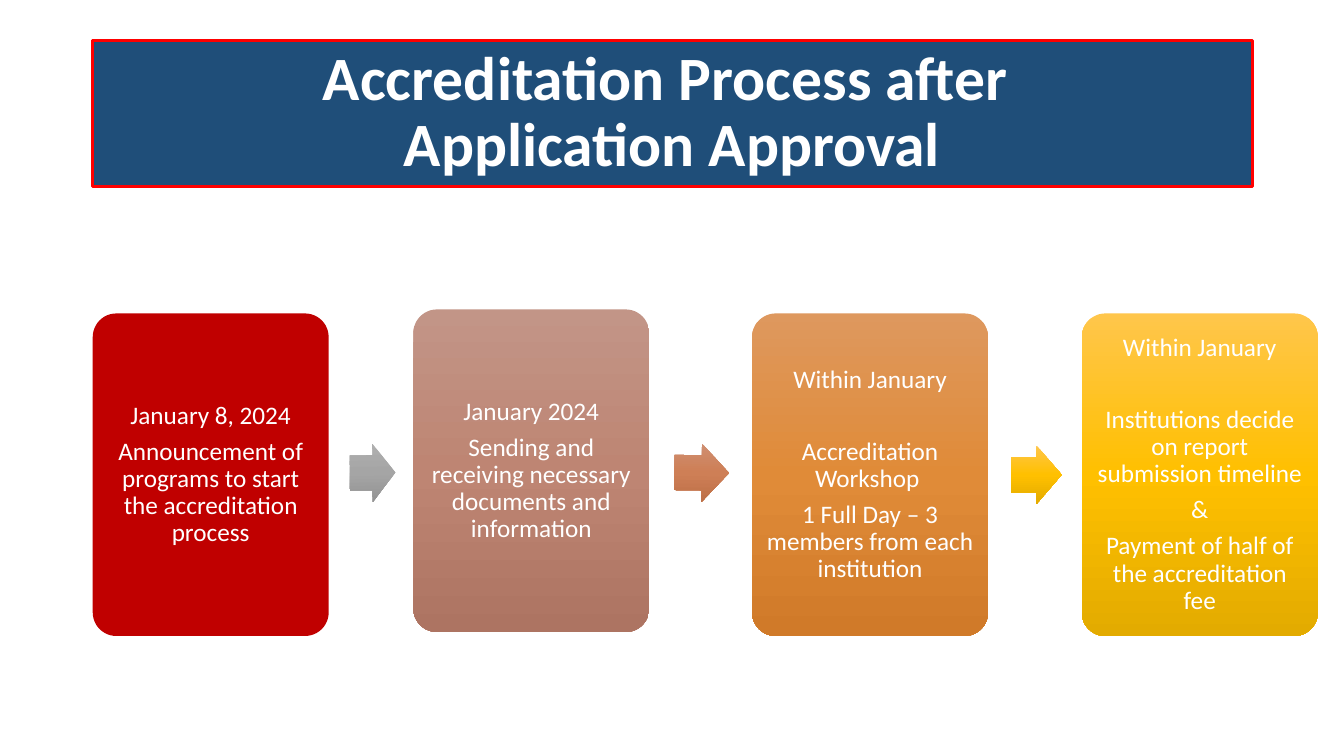
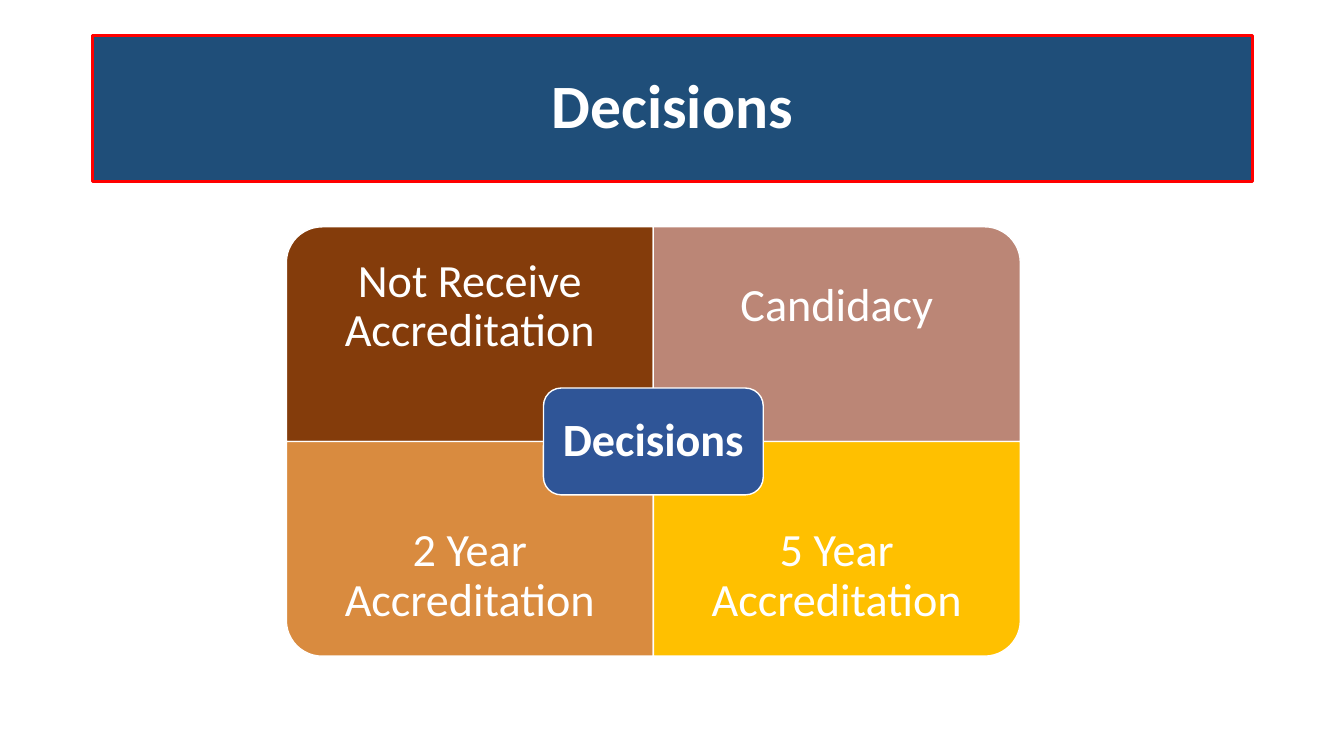
from copy import deepcopy
from dataclasses import dataclass

from pptx import Presentation
from pptx import util as u
from pptx.dml.color import RGBColor
from pptx.enum import shapes, text
from pptx.oxml.ns import qn

PX = 9144  # EMU: 100 px to the inch
FONT = "Calibri"
WHITE = RGBColor(0xFF, 0xFF, 0xFF)
NAVY = RGBColor(0x1F, 0x4E, 0x79)
BLUE = RGBColor(0x2F, 0x55, 0x97)
RED = RGBColor(0xFF, 0x00, 0x00)
CRIMSON = RGBColor(0xC0, 0x00, 0x00)
BROWN = RGBColor(0x84, 0x3C, 0x0B)
ROSE = RGBColor(0xBB, 0x86, 0x76)
ORANGE = RGBColor(0xD9, 0x8B, 0x3F)
GOLD = RGBColor(0xFF, 0xC0, 0x00)

# Gradients from top to bottom
GREY_FADE = (RGBColor(0xAF, 0xAF, 0xAF), RGBColor(0xA5, 0xA5, 0xA5), RGBColor(0x93, 0x93, 0x93))
COPPER_FADE = (RGBColor(0xCF, 0x8F, 0x72), RGBColor(0xCE, 0x7F, 0x56), RGBColor(0xBD, 0x6F, 0x47))
ROSE_FADE = (RGBColor(0xC2, 0x95, 0x87), RGBColor(0xBE, 0x85, 0x73), RGBColor(0xAD, 0x74, 0x62))
ORANGE_FADE = (RGBColor(0xDE, 0x98, 0x5E), RGBColor(0xE0, 0x8B, 0x38), RGBColor(0xD0, 0x7A, 0x29))
GOLD_FADE = (RGBColor(0xFF, 0xC6, 0x4B), RGBColor(0xFF, 0xC0, 0x00), RGBColor(0xE3, 0xAB, 0x00))

Fade = tuple[RGBColor, RGBColor, RGBColor]
TITLE_X, TITLE_W, TITLE_H = 92, 1150, 145
STEP_W, STEP_H = 234, 320
ARROW_H = 58
GRID_X, GRID_Y, CELL_W, CELL_H = 284, 225, 364, 213
LABEL_H = 159
HUB_W, HUB_H = 218, 106
STEP_GAP, WIDE_GAP = 6.3, 32


@dataclass(frozen=True)
class Step:
    x: int
    y: int
    date: str
    details: tuple[str, ...]
    fill: RGBColor | Fade
    date_gap: float = STEP_GAP


@dataclass(frozen=True)
class Arrow:
    x: int
    y: int
    w: int
    fill: Fade
    rotation: float = 0


@dataclass(frozen=True)
class Quadrant:
    col: int
    row: int
    rotation: int
    label: str
    fill: RGBColor


STEPS = (
    Step(92, 311, "January 8, 2024",
         ("Announcement of programs to start the accreditation process",), CRIMSON),
    Step(410, 307, "January 2024",
         ("Sending and receiving necessary documents and information",), ROSE_FADE),
    Step(746, 311, "Within January",
         ("Accreditation Workshop ", "1 Full Day – 3 members from each institution"),
         ORANGE_FADE, WIDE_GAP),
    Step(1073, 311, "Within January",
         ("Institutions decide on report submission timeline ", "&",
          "Payment of half of the accreditation fee"), GOLD_FADE, WIDE_GAP),
)
ARROWS = (
    Arrow(347, 440, 45, GREY_FADE, 359.4),
    Arrow(669, 440, 54, COPPER_FADE, 0.6),
    Arrow(1003, 442, 50, GOLD_FADE),
)
QUADRANTS = (
    Quadrant(0, 0, 270, "Not Receive Accreditation", BROWN),
    Quadrant(1, 0, 0, "Candidacy", ROSE),
    Quadrant(0, 1, 180, "2 Year Accreditation", ORANGE),
    Quadrant(1, 1, 90, "5 Year Accreditation", GOLD),
)


def px(*lengths: float) -> list[u.Emu]:
    return [u.Emu(round(n * PX)) for n in lengths]


def style_paragraph(p, size: int, bold: bool = False) -> None:
    p.alignment = text.PP_ALIGN.CENTER
    p.line_spacing = 0.9
    p.font.name, p.font.size, p.font.bold = FONT, u.Pt(size), bold
    p.font.color.rgb = WHITE


def write(tf, lines: tuple[str, ...], size: int, inset: int,
          bold: bool = False, first_gap: float = STEP_GAP) -> None:
    """Fill a centred text frame, with first_gap points below the first line."""
    tf.word_wrap = True
    tf.vertical_anchor = text.MSO_ANCHOR.MIDDLE
    tf.margin_left = tf.margin_top = tf.margin_right = tf.margin_bottom = px(inset)[0]
    for i, line in enumerate(lines):
        p = tf.add_paragraph() if i else tf.paragraphs[0]
        p.text = line
        style_paragraph(p, size, bold)
        if i < len(lines) - 1:
            p.space_after = u.Pt(STEP_GAP if i else first_gap)


def paint(sp, fill: RGBColor | Fade) -> None:
    if isinstance(fill, RGBColor):
        sp.fill.solid()
        sp.fill.fore_color.rgb = fill
        return
    sp.fill.gradient()
    sp.fill.gradient_angle = 270
    first = sp._element.spPr.find(qn("a:gradFill")).find(qn("a:gsLst"))[0]
    first.addnext(deepcopy(first))
    for stop, position, colour in zip(sp.fill.gradient_stops, (0, 0.5, 1), fill):
        stop.position = position
        stop.color.rgb = colour


def add_shape(s, kind, box: tuple[float, float, float, float],
              fill: RGBColor | Fade, outlined: bool = False, rotation: float = 0):
    sp = s.shapes.add_shape(kind, *px(*box))
    sp.shadow.inherit = False
    sp.rotation = rotation
    paint(sp, fill)
    if outlined:
        sp.line.color.rgb, sp.line.width = WHITE, u.Pt(1)
    else:
        sp.line.fill.background()
    return sp


def add_titled_slide(prs, title: str, y: int):
    s = prs.slides.add_slide(prs.slide_layouts[5])
    sp = s.shapes.title
    sp.left, sp.top, sp.width, sp.height = px(TITLE_X, y, TITLE_W, TITLE_H)
    paint(sp, NAVY)
    sp.line.color.rgb, sp.line.width = RED, u.Pt(2)
    tf = sp.text_frame
    tf.text = title
    tf.auto_size = text.MSO_AUTO_SIZE.NONE
    tf.vertical_anchor = text.MSO_ANCHOR.MIDDLE
    style_paragraph(tf.paragraphs[0], 44, bold=True)
    return s


def add_step(s, step: Step) -> None:
    sp = add_shape(s, shapes.MSO_SHAPE.ROUNDED_RECTANGLE,
                   (step.x, step.y, STEP_W, STEP_H), step.fill)
    sp.adjustments[0] = 0.1
    write(sp.text_frame, (step.date, *step.details), 18, 7, first_gap=step.date_gap)


def add_arrow(s, arrow: Arrow) -> None:
    sp = add_shape(s, shapes.MSO_SHAPE.RIGHT_ARROW,
                   (arrow.x, arrow.y, arrow.w, ARROW_H), arrow.fill, rotation=arrow.rotation)
    sp.adjustments[0], sp.adjustments[1] = 0.6, 0.5


def add_quadrant(s, quad: Quadrant) -> None:
    """Turn the rounded corner outwards and keep the label upright."""
    x, y = GRID_X + quad.col * CELL_W, GRID_Y + quad.row * CELL_H
    w, h = (CELL_H, CELL_W) if quad.rotation % 180 else (CELL_W, CELL_H)
    box = (x + (CELL_W - w) / 2, y + (CELL_H - h) / 2, w, h)
    add_shape(s, shapes.MSO_SHAPE.ROUND_1_RECTANGLE, box, quad.fill, True, quad.rotation)
    label_y = y + quad.row * (CELL_H - LABEL_H)
    label = s.shapes.add_textbox(*px(x, label_y, CELL_W, LABEL_H))
    write(label.text_frame, (quad.label,), 33, 26)


def build_process(prs) -> None:
    s = add_titled_slide(prs, "Accreditation Process after \vApplication Approval", 40)
    for step in STEPS:
        add_step(s, step)
    for arrow in ARROWS:
        add_arrow(s, arrow)


def build_decisions(prs) -> None:
    s = add_titled_slide(prs, "Decisions", 35)
    for quad in QUADRANTS:
        add_quadrant(s, quad)
    hub_box = (GRID_X + CELL_W - HUB_W / 2, GRID_Y + CELL_H - HUB_H / 2, HUB_W, HUB_H)
    hub = add_shape(s, shapes.MSO_SHAPE.ROUNDED_RECTANGLE, hub_box, BLUE, True)
    write(hub.text_frame, ("Decisions",), 33, 14, bold=True)


def main() -> None:
    prs = Presentation()
    prs.slide_width, prs.slide_height = px(1333, 750)
    build_process(prs)
    build_decisions(prs)
    prs.save("out.pptx")


if __name__ == "__main__":
    main()
